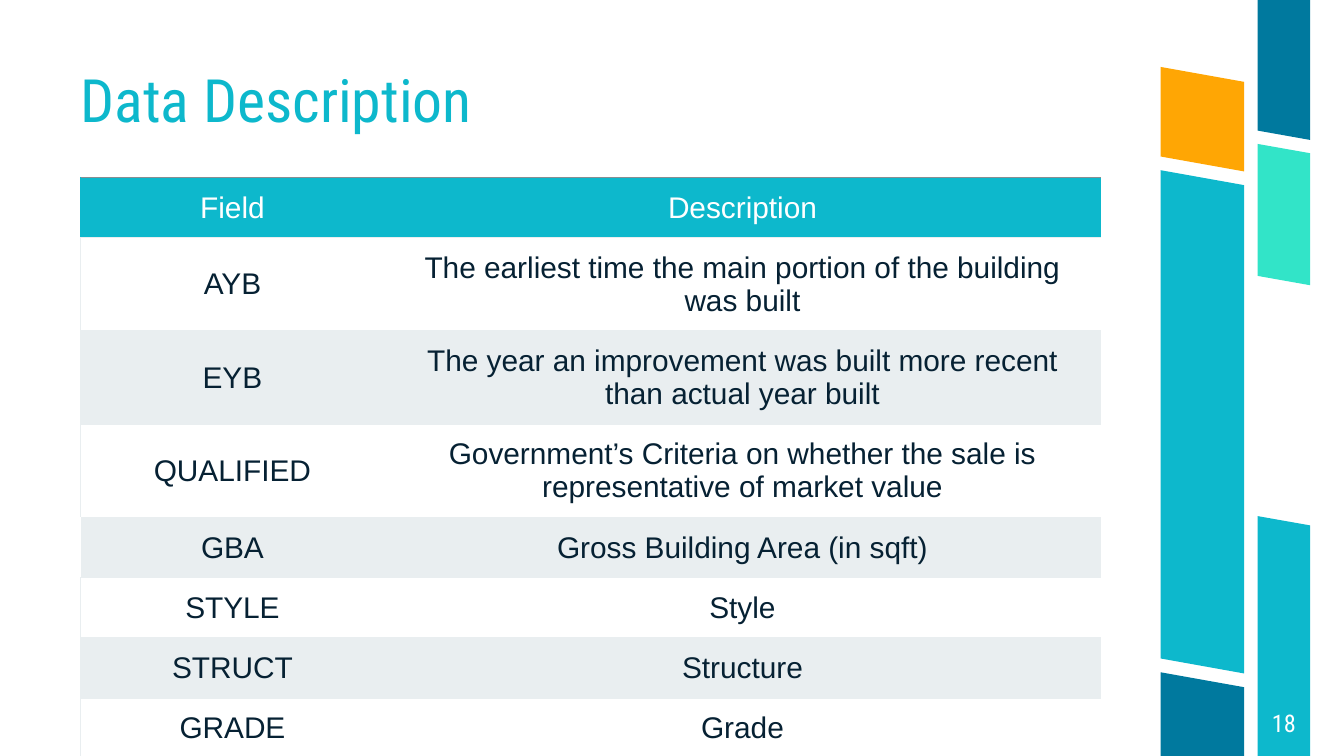
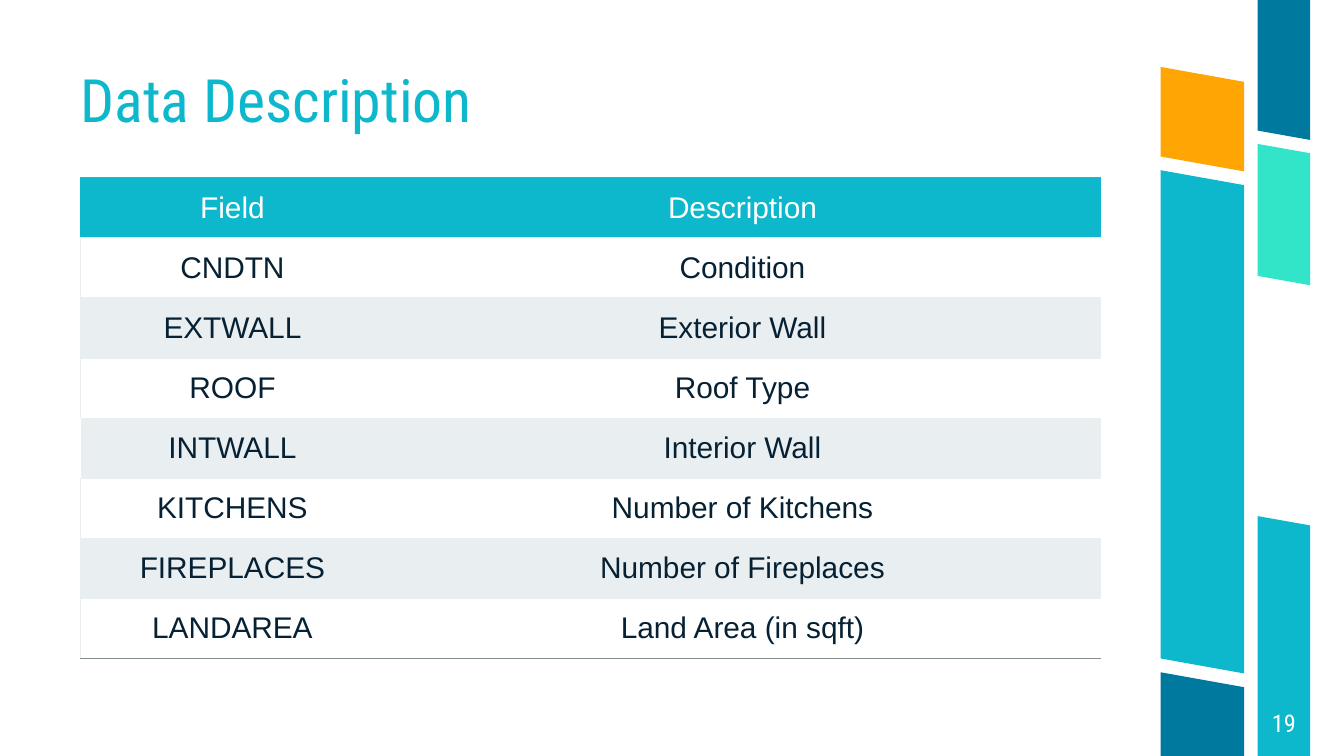
from lxml import etree
from pptx import Presentation
from pptx.dml.color import RGBColor
from pptx.enum.text import MSO_ANCHOR, MSO_AUTO_SIZE, PP_ALIGN
from pptx.oxml.ns import qn
from pptx.util import Pt

MIDDLE, BOTTOM = MSO_ANCHOR.MIDDLE, MSO_ANCHOR.BOTTOM
CENTER, LEFT = PP_ALIGN.CENTER, PP_ALIGN.LEFT
NO_AUTOFIT = MSO_AUTO_SIZE.NONE

TEAL, MINT, NAVY, ORANGE = "0DB8CC", "32E4C8", "00799E", "FFA604"
WHITE, INK, PALE, RULE = "FFFFFF", "062133", "E9EEF0", "878E92"
HEADING_FONT, TABLE_FONT = "Roboto Condensed", "Arial"
PLAIN_TABLE_STYLE = "{2D5ABB26-0587-4C30-8999-92F81FD0307C}"

WIDTH, HEIGHT = 720, 405
TITLE_BOX = (43.2, 41.8, 481, 31)
NUMBER_BOX = (673.7, 369.2, 28.2, 36)
TABLE_LEFT, TABLE_TOP = 43.2, 95.2
COLUMN_WIDTHS = (162.7, 383.8)
HEADER_HEIGHT, ROW_HEIGHT = 24, 30.2
WHITE_EDGE_ROW = 4

INNER = (621.8, 666.5, 8)
OUTER = (673.7, 701.9, 5)
BANDS = [
    (OUTER, 276.5, HEIGHT, TEAL),
    (OUTER, 77.1, 147.8, MINT),
    (OUTER, 0, 70, NAVY),
    (INNER, 35.9, 83.9, ORANGE),
    (INNER, 360.2, HEIGHT, NAVY),
    (INNER, 91.2, 352.8, TEAL),
]

HEADER = ("Field", "Description")
SLIDES = [
    ("Data Description", "18", [
        ("AYB", "The earliest time the main portion of the building was built"),
        ("EYB", "The year an improvement was built more recent than actual year built"),
        ("QUALIFIED", "Government’s Criteria on whether the sale is representative of market value"),
        ("GBA", "Gross Building Area (in sqft)"),
        ("STYLE", "Style"),
        ("STRUCT", "Structure"),
        ("GRADE", "Grade"),
    ]),
    ("Data Description", "19", [
        ("CNDTN", "Condition"),
        ("EXTWALL", "Exterior Wall"),
        ("ROOF", "Roof Type"),
        ("INTWALL", "Interior Wall"),
        ("KITCHENS", "Number of Kitchens"),
        ("FIREPLACES", "Number of Fireplaces"),
        ("LANDAREA", "Land Area (in sqft)"),
    ]),
]


def rgb(color):
    return RGBColor.from_string(color)


def write(frame, text, size, font, color, align):
    frame.text = text
    paragraph = frame.paragraphs[0]
    paragraph.alignment = align
    style = paragraph.runs[0].font
    style.size, style.name, style.bold = Pt(size), font, False
    style.color.rgb = rgb(color)
    return paragraph


def reset_frame(frame, anchor):
    frame.word_wrap = True
    frame.auto_size = NO_AUTOFIT
    frame.vertical_anchor = anchor
    frame.margin_left = frame.margin_right = frame.margin_top = frame.margin_bottom = 0


def add_band(slide, layout, column, top, bottom, color):
    left, right, drop = column
    right_top = top + drop if top > 0 else top
    right_bottom = bottom + drop if bottom < HEIGHT else bottom
    outline = slide.shapes.build_freeform(Pt(left), Pt(top))
    outline.add_line_segments([
        (Pt(right), Pt(right_top)),
        (Pt(right), Pt(right_bottom)),
        (Pt(left), Pt(bottom)),
    ])
    band = outline.convert_to_shape()
    band.shadow.inherit = False
    band.fill.solid()
    band.fill.fore_color.rgb = rgb(color)
    band.line.fill.background()
    layout.placeholders[0].element.getparent().append(band.element)


def add_title(slide, text):
    title = slide.shapes.title
    title.left, title.top, title.width, title.height = map(Pt, TITLE_BOX)
    reset_frame(title.text_frame, BOTTOM)
    write(title.text_frame, text, 32, HEADING_FONT, TEAL, LEFT).line_spacing = 0.9


def add_number(slide, number):
    frame = slide.shapes.add_textbox(*map(Pt, NUMBER_BOX)).text_frame
    reset_frame(frame, MIDDLE)
    write(frame, number, 13, HEADING_FONT, WHITE, CENTER)


def set_borders(cell, **edges):
    properties = cell._tc.get_or_add_tcPr()
    for side, color in edges.items():
        edge = etree.SubElement(properties, qn(f"a:ln{side}"), w=str(Pt(0.75)))
        fill = etree.SubElement(edge, qn("a:solidFill"))
        etree.SubElement(fill, qn("a:srgbClr"), val=color)


def add_fields(slide, fields):
    rows = [HEADER, *fields]
    heights = [HEADER_HEIGHT] + [ROW_HEIGHT] * len(fields)
    graphic = slide.shapes.add_table(
        len(rows), len(HEADER), Pt(TABLE_LEFT), Pt(TABLE_TOP),
        Pt(sum(COLUMN_WIDTHS)), Pt(sum(heights)))
    table = graphic.table
    table.first_row = table.horz_banding = False
    for style in graphic.element.iter(qn("a:tableStyleId")):
        style.text = PLAIN_TABLE_STYLE
    for column, width in zip(table.columns, COLUMN_WIDTHS):
        column.width = Pt(width)
    for r, (row, height) in enumerate(zip(rows, heights)):
        table.rows[r].height = Pt(height)
        fill = TEAL if r == 0 else PALE if r % 2 == 0 else None
        left_edge = {0: TEAL, WHITE_EDGE_ROW: WHITE}.get(r, PALE)
        top_edge = RULE if r == 0 else PALE
        bottom_edge = RULE if r == len(fields) else PALE
        for c, text in enumerate(row):
            cell = table.cell(r, c)
            cell.vertical_anchor = MIDDLE
            cell.margin_left = cell.margin_right = Pt(7.2)
            cell.margin_top = cell.margin_bottom = Pt(7.2)
            write(cell.text_frame, text, 16, TABLE_FONT, INK if r else WHITE, CENTER)
            side = {"L": left_edge} if c == 0 else {}
            set_borders(cell, **side, T=top_edge, B=bottom_edge)
            if fill:
                cell.fill.solid()
                cell.fill.fore_color.rgb = rgb(fill)
            else:
                cell.fill.background()


def main():
    deck = Presentation()
    deck.slide_width, deck.slide_height = Pt(WIDTH), Pt(HEIGHT)
    layout = deck.slide_layouts[5]
    for title, number, fields in SLIDES:
        slide = deck.slides.add_slide(layout)
        add_title(slide, title)
        add_number(slide, number)
        add_fields(slide, fields)
    for band in BANDS:
        add_band(slide, layout, *band)
    deck.save("out.pptx")


if __name__ == "__main__":
    main()
